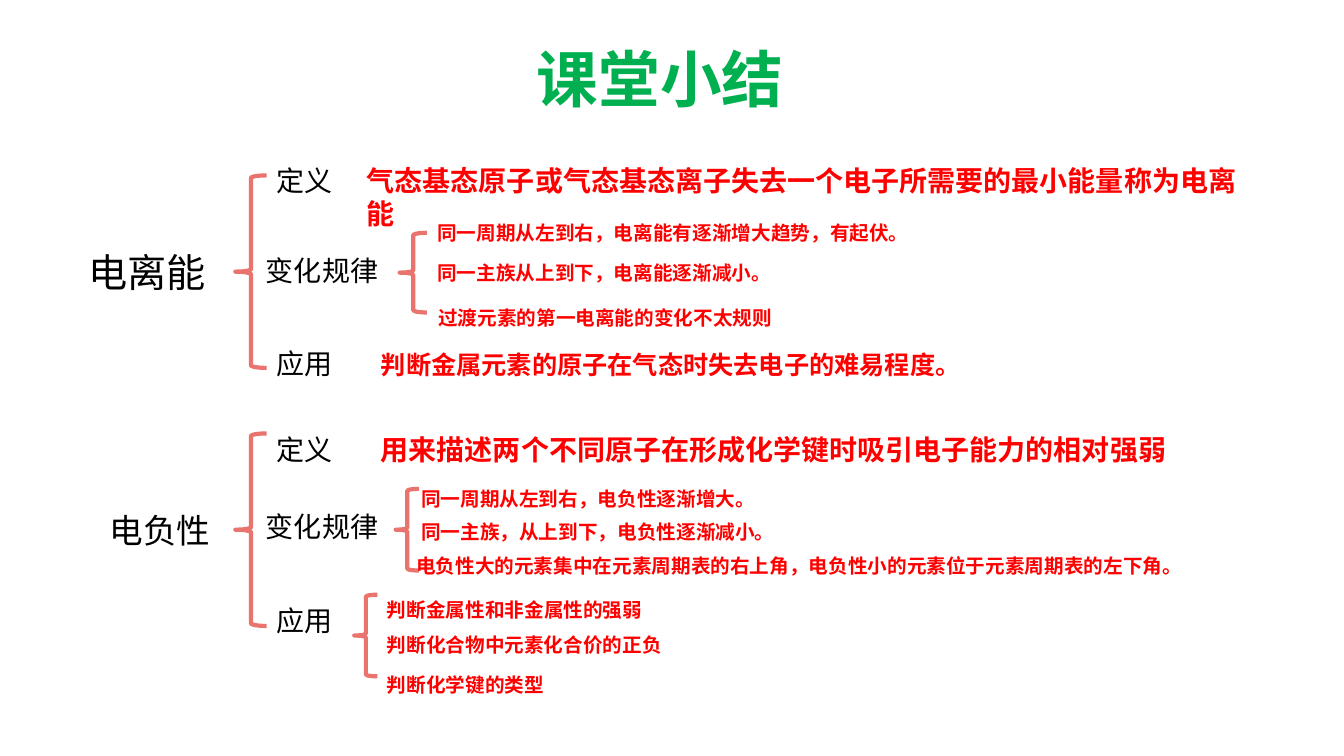
from pptx import Presentation
from pptx.dml.color import RGBColor
from pptx.enum.shapes import MSO_SHAPE
from pptx.enum.text import MSO_AUTO_SIZE, PP_ALIGN
from pptx.util import Inches, Pt

CELL = Inches(0.1)
COLUMNS, ROWS = 133.33, 75
GREEN = RGBColor(0x00, 0xB0, 0x50)
BLACK = RGBColor(0x00, 0x00, 0x00)
RED = RGBColor(0xFF, 0x00, 0x00)
CORAL = RGBColor(0xE9, 0x74, 0x6E)
LABELS = (("定义", 26.4, 7.6), ("变化规律", 25.4, 13.2), ("应用", 26.4, 7.6))
LINE_HEIGHT = {44: 8.4, 28: 5.7, 24: 5, 20: 4.4, 18: 4, 14: 3.4}


def cells(*counts):
    """Turn counts of grid cells into lengths."""
    return [round(count * CELL) for count in counts]


def add_text(slide, words, column, row, width, size, color=RED, bold=True,
             wrap=False, font="Calibri", spacing=None, indent=0, align=PP_ALIGN.LEFT):
    """Write one line of text at a grid position."""
    height = LINE_HEIGHT[size] if spacing is None else 4.5
    frame = slide.shapes.add_textbox(*cells(column, row, width, height)).text_frame
    frame.word_wrap = wrap
    frame.auto_size = MSO_AUTO_SIZE.SHAPE_TO_FIT_TEXT
    paragraph = frame.paragraphs[0]
    paragraph.alignment = align
    if spacing:
        paragraph.line_spacing = spacing
    if indent:
        paragraph._p.get_or_add_pPr().set("indent", str(cells(indent)[0]))
    run = paragraph.add_run()
    run.text = words
    run.font.name = font
    run.font.size = Pt(size)
    run.font.bold = bold
    run.font.color.rgb = color


def add_brace(slide, column, row, width, height):
    """Draw a left brace that groups the items to its right."""
    brace = slide.shapes.add_shape(MSO_SHAPE.LEFT_BRACE, *cells(column, row, width, height))
    brace.shadow.inherit = False
    brace.fill.background()
    brace.line.color.rgb = CORAL
    brace.line.width = Pt(3)


def add_topic(slide, name, column, row, width, size, brace_row, label_rows):
    """Add a topic, its brace and the three aspect labels."""
    add_text(slide, name, column, row, width, size, BLACK, bold=False)
    add_brace(slide, 23.35, brace_row, 3.1, 19.1)
    for (label, label_column, label_width), label_row in zip(LABELS, label_rows):
        add_text(slide, label, label_column, label_row, label_width, 20, BLACK, bold=False)


def add_ionization(slide):
    """Fill in the ionization energy branch."""
    add_topic(slide, "电离能", 7.8, 24.1, 13.7, 28, 17.4, (15.7, 24.7, 33.9))
    add_text(slide, "气态基态原子或气态基态离子失去一个电子所需要的最小能量称为电离能",
             35.4, 15.7, 90.9, 20, wrap=True)
    add_brace(slide, 39.65, 23.1, 2.7, 7.9)
    add_text(slide, "同一周期从左到右，电离能有逐渐增大趋势，有起伏。", 42.4, 21.4, 49, 14)
    add_text(slide, "同一主族从上到下，电离能逐渐减小。", 42.4, 25.4, 35.3, 14)
    add_text(slide, "过渡元素的第一电离能的变化不太规则", 42.5, 28.7, 35.3, 14,
             font="Noto Sans CJK SC", spacing=1.5)
    add_text(slide, "判断金属元素的原子在气态时失去电子的难易程度。", 36.8, 34.2, 59.6, 18)


def add_electronegativity(slide):
    """Fill in the electronegativity branch."""
    add_topic(slide, "电负性", 9.9, 50.1, 12, 24, 43, (42.4, 50.1, 59.4))
    add_text(slide, "用来描述两个不同原子在形成化学键时吸引电子能力的相对强弱",
             36.8, 42.4, 81, 20, wrap=True)
    add_brace(slide, 39.25, 48.5, 2.3, 8.1)
    add_text(slide, "同一周期从左到右，电负性逐渐增大。", 40.8, 47.8, 35.3, 14)
    add_text(slide, "同一主族，从上到下，电负性逐渐减小。", 40.8, 51.1, 37.3, 14)
    add_text(slide, "电负性大的元素集中在元素周期表的右上角，电负性小的元素位于元素周期表的左下角。",
             37.4, 54.5, 81.3, 14, indent=2.9)
    add_brace(slide, 35.15, 59, 2.3, 8.1)
    add_text(slide, "判断金属性和非金属性的强弱", 37.4, 58.8, 27.5, 14)
    add_text(slide, "判断化合物中元素化合价的正负", 37.4, 62.3, 34.3, 14, wrap=True)
    add_text(slide, "判断化学键的类型", 37.4, 66.3, 17.7, 14)


def main():
    """Build the class summary slide."""
    deck = Presentation()
    deck.slide_width, deck.slide_height = cells(COLUMNS, ROWS)
    slide = deck.slides.add_slide(deck.slide_layouts[6])
    add_text(slide, "课堂小结", 52.1, 3.6, 26.8, 44, GREEN, align=PP_ALIGN.CENTER)
    add_ionization(slide)
    add_electronegativity(slide)
    deck.save("out.pptx")


if __name__ == "__main__":
    main()
